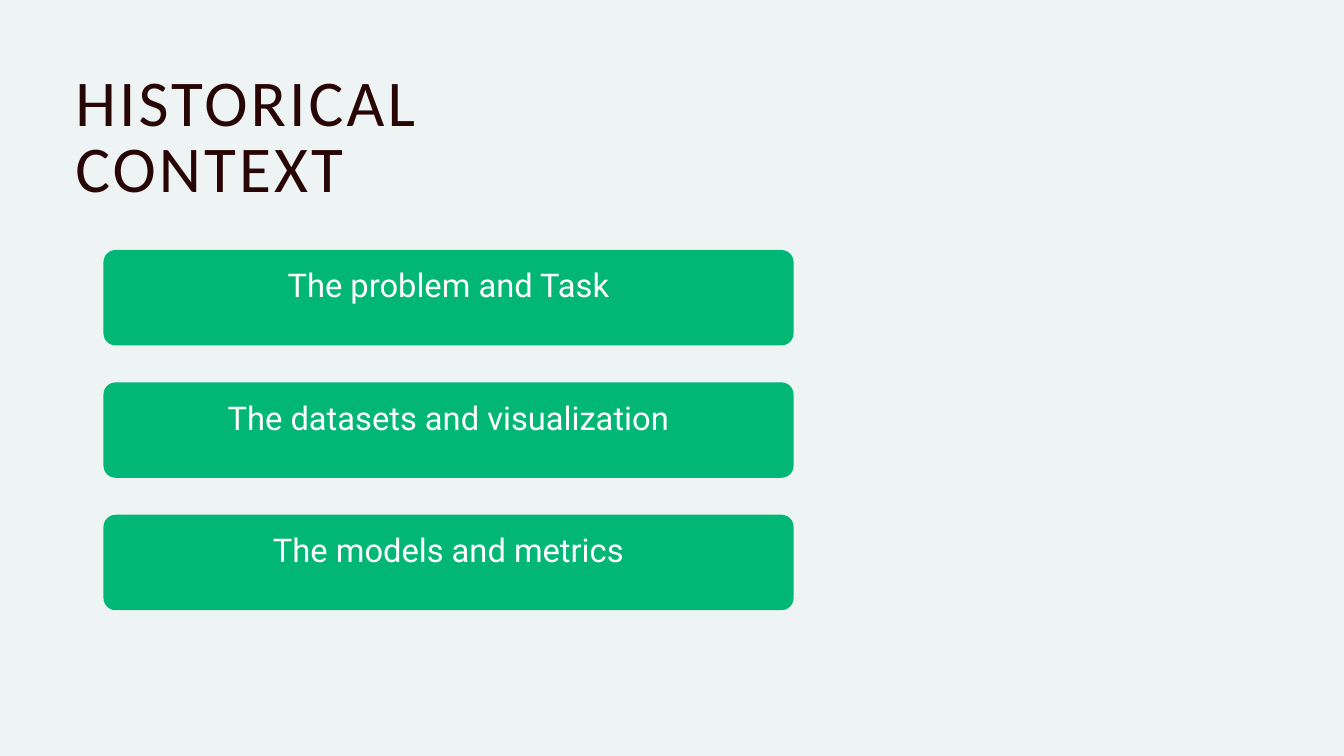
from dataclasses import dataclass

from pptx import Presentation
from pptx.dml.color import RGBColor
from pptx.enum.shapes import MSO_SHAPE
from pptx.enum.text import MSO_ANCHOR, MSO_AUTO_SIZE, PP_ALIGN
from pptx.slide import Slide
from pptx.text.text import TextFrame
from pptx.util import Inches, Pt

BACKGROUND = RGBColor(0xEE, 0xF4, 0xF3)
GREEN = RGBColor(0x02, 0xB6, 0x76)
WHITE = RGBColor(0xFF, 0xFF, 0xFF)
DARK_BROWN = RGBColor(0x29, 0x06, 0x06)

# Shared geometry of the topic bars, in inches
BAR_LEFT, BAR_WIDTH, BAR_HEIGHT = 1.54, 10.27, 1.42
FIRST_BAR_TOP, BAR_PITCH = 3.72, 1.97
CORNER_RADIUS = 0.18
LABEL_RISE = 0.48  # the label box starts this far above its bar


@dataclass
class Topic:
    label: str
    top: float


TOPICS = [
    Topic(label, FIRST_BAR_TOP + index * BAR_PITCH)
    for index, label in enumerate([
        "The problem and Task",
        "The datasets and visualization",
        "The models and metrics",
    ])
]


def write_text(frame: TextFrame, text: str, *, font: str, size: float,
               color: RGBColor, line_height: float, align: PP_ALIGN,
               anchor: MSO_ANCHOR, inset: float = 0,
               tracking: float = 0) -> None:
    """Fill a text frame with one formatted paragraph."""
    frame.word_wrap = True
    frame.auto_size = MSO_AUTO_SIZE.NONE
    frame.vertical_anchor = anchor
    frame.margin_left = frame.margin_right = Inches(inset)
    frame.margin_top = frame.margin_bottom = Inches(inset)
    para = frame.paragraphs[0]
    para.alignment = align
    para.line_spacing = Pt(line_height)
    span = para.add_run()
    span.text = text
    span.font.name = font
    span.font.size = Pt(size)
    span.font.color.rgb = color
    if tracking:
        span.font._element.set("spc", str(round(tracking * 100)))


def draw_title(page: Slide, text: str) -> None:
    title = page.shapes.title
    title.left, title.top = Inches(1.12), Inches(1.11)
    title.width, title.height = Inches(8.88), Inches(1.17)
    write_text(title.text_frame, text, font="Calibri", size=70,
               color=DARK_BROWN, line_height=70, align=PP_ALIGN.LEFT,
               anchor=MSO_ANCHOR.TOP, tracking=3.4)


def draw_topic(page: Slide, topic: Topic) -> None:
    # Rounded bar
    bar = page.shapes.add_shape(
        MSO_SHAPE.ROUNDED_RECTANGLE, Inches(BAR_LEFT), Inches(topic.top),
        Inches(BAR_WIDTH), Inches(BAR_HEIGHT))
    bar.adjustments[0] = CORNER_RADIUS / BAR_HEIGHT
    bar.shadow.inherit = False
    bar.fill.solid()
    bar.fill.fore_color.rgb = GREEN
    bar.line.fill.background()

    # Label, raised above the middle of the bar
    box = page.shapes.add_textbox(
        Inches(BAR_LEFT), Inches(topic.top - LABEL_RISE),
        Inches(BAR_WIDTH), Inches(BAR_HEIGHT + LABEL_RISE))
    write_text(box.text_frame, topic.label, font="Roboto", size=35,
               color=WHITE, line_height=49, align=PP_ALIGN.CENTER,
               anchor=MSO_ANCHOR.MIDDLE, inset=0.06)


def main() -> None:
    deck = Presentation()
    deck.slide_width, deck.slide_height = Inches(20), Inches(11.25)
    page = deck.slides.add_slide(deck.slide_layouts.get_by_name("Title Only"))
    page.background.fill.solid()
    page.background.fill.fore_color.rgb = BACKGROUND

    for topic in TOPICS:
        draw_topic(page, topic)
    draw_title(page, "HISTORICAL CONTEXT")

    deck.save("out.pptx")


if __name__ == "__main__":
    main()
